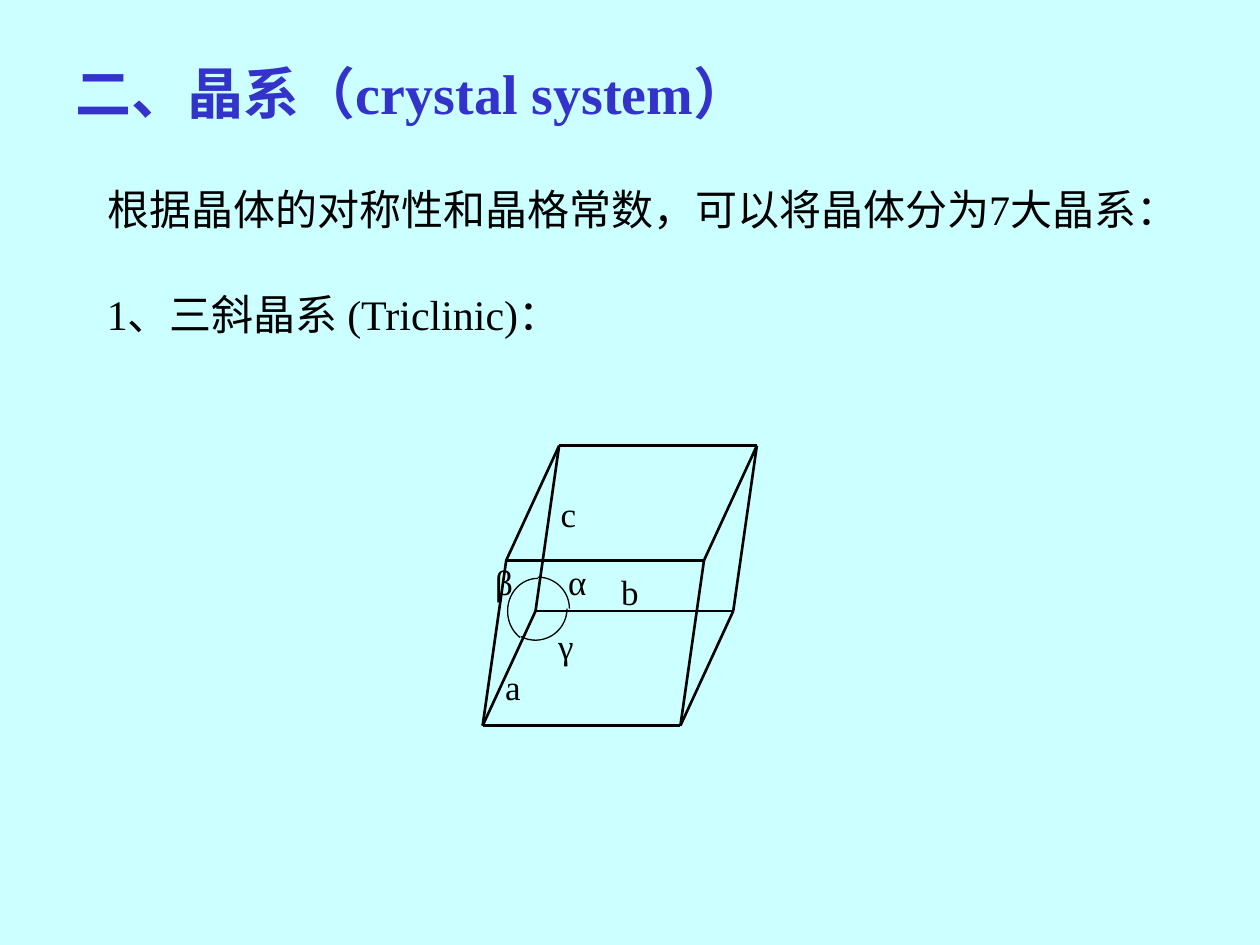
from itertools import product
from math import cos, radians, sin

from lxml.etree import SubElement
from pptx import Presentation
from pptx.dml.color import RGBColor
from pptx.enum.shapes import MSO_CONNECTOR
from pptx.enum.text import MSO_ANCHOR, MSO_AUTO_SIZE as AutoSize, PP_ALIGN
from pptx.oxml.ns import qn
from pptx.util import Pt

COLORS = {"background": "CCFFFF", "title": "3333CC", "ink": "000000"}
FONT = "Times New Roman"
HANGING = 27

TITLE = "二、晶系（crystal system）"
INTRODUCTION = "根据晶体的对称性和晶格常数，可以将晶体分为7大晶系："
HEADING = "1、三斜晶系 (Triclinic)："

# Unit cell: lattice origin and the drawn vectors a, b and c
ORIGIN = (306, 349.2)
VECTORS = [(-30.2, 65.5), (113, 0), (13.5, -94.5)]

# Text, left, top, width
LABELS = [
    ("a", 281.5, 376.5, 23),
    ("b", 347.8, 322.5, 24.5),
    ("c", 313.2, 278, 23),
    ("α", 317.5, 316.8, 34.5),
    ("β", 275.8, 316.8, 34.5),
    ("γ", 311.8, 353.5, 34.5),
]
LABEL_HEIGHT = 31

# Centre, radii, start and end angle (clockwise from the right)
ANGLE_ARCS = [
    ((307.4, 347.8), (18, 18), -90, 0),
    ((306, 347.8), (18, 18), 0, 118),
    ((307.4, 349.2), (17.3, 18.7), 126, 270),
]


def color(name):
    return RGBColor.from_string(COLORS[name])


def place(shape, left, top, width, height):
    shape.left, shape.top = Pt(left), Pt(top)
    shape.width, shape.height = Pt(width), Pt(height)


def write(shape, text, size, color_name="ink", bold=False, hanging=0,
          line_spacing=None, wrap=True):
    frame = shape.text_frame
    frame.word_wrap = wrap
    frame.auto_size = AutoSize.NONE if wrap else AutoSize.SHAPE_TO_FIT_TEXT
    frame.vertical_anchor = MSO_ANCHOR.TOP
    frame.text = text
    paragraph = frame.paragraphs[0]
    paragraph.alignment = PP_ALIGN.LEFT
    paragraph.space_before = Pt(0)
    if line_spacing:
        paragraph.line_spacing = line_spacing
    properties = paragraph._p.get_or_add_pPr()
    properties.set("marL", str(Pt(hanging)))
    properties.set("indent", str(Pt(-hanging)))
    SubElement(properties, qn("a:buNone"))
    font = paragraph.font
    font.name, font.size, font.bold = FONT, Pt(size), bold
    font.color.rgb = color(color_name)


def vertex(steps):
    """Return the cell corner reached by taking each vector 0 or 1 times."""
    return tuple(
        ORIGIN[axis] + sum(n * v[axis] for n, v in zip(steps, VECTORS))
        for axis in (0, 1)
    )


def add_edge(shapes, start, end):
    edge = shapes.add_connector(
        MSO_CONNECTOR.STRAIGHT, *(Pt(value) for value in start + end))
    edge.line.color.rgb = color("ink")
    edge.line.width = Pt(1.5)
    SubElement(edge._element.spPr, qn("a:effectLst"))


def add_arc(shapes, centre, radii, first, last, steps=24):
    angles = [radians(first + (last - first) * i / steps)
              for i in range(steps + 1)]
    points = [(Pt(centre[0] + radii[0] * cos(angle)),
               Pt(centre[1] + radii[1] * sin(angle))) for angle in angles]
    builder = shapes.build_freeform(*points[0])
    builder.add_line_segments(points[1:], close=False)
    arc = builder.convert_to_shape()
    arc.shadow.inherit = False
    arc.fill.background()
    arc.line.color.rgb = color("ink")
    arc.line.width = Pt(0.75)


def main():
    presentation = Presentation()
    presentation.slide_width, presentation.slide_height = Pt(720), Pt(540)
    slide = presentation.slides.add_slide(presentation.slide_layouts[1])
    slide.background.fill.solid()
    slide.background.fill.fore_color.rgb = color("background")

    title, introduction = slide.placeholders
    place(title, 36, 30, 420, 54)
    write(title, TITLE, 32, "title", bold=True, hanging=HANGING)
    place(introduction, 54, 90, 630, 54)
    write(introduction, INTRODUCTION, 24, hanging=HANGING, line_spacing=1.4)
    heading = slide.shapes.add_textbox(Pt(54), Pt(150), Pt(300), Pt(54))
    write(heading, HEADING, 24, hanging=HANGING, line_spacing=1.4)

    cell = slide.shapes.add_group_shape().shapes
    for steps in product((0, 1), repeat=3):
        for axis in range(3):
            if steps[axis] == 0:
                neighbour = steps[:axis] + (1,) + steps[axis + 1:]
                add_edge(cell, vertex(steps), vertex(neighbour))
    for arc in ANGLE_ARCS:
        add_arc(cell, *arc)
    for text, left, top, width in LABELS:
        label = cell.add_textbox(
            Pt(left), Pt(top), Pt(width), Pt(LABEL_HEIGHT))
        write(label, text, 20, wrap=False)

    presentation.save("out.pptx")


if __name__ == "__main__":
    main()
